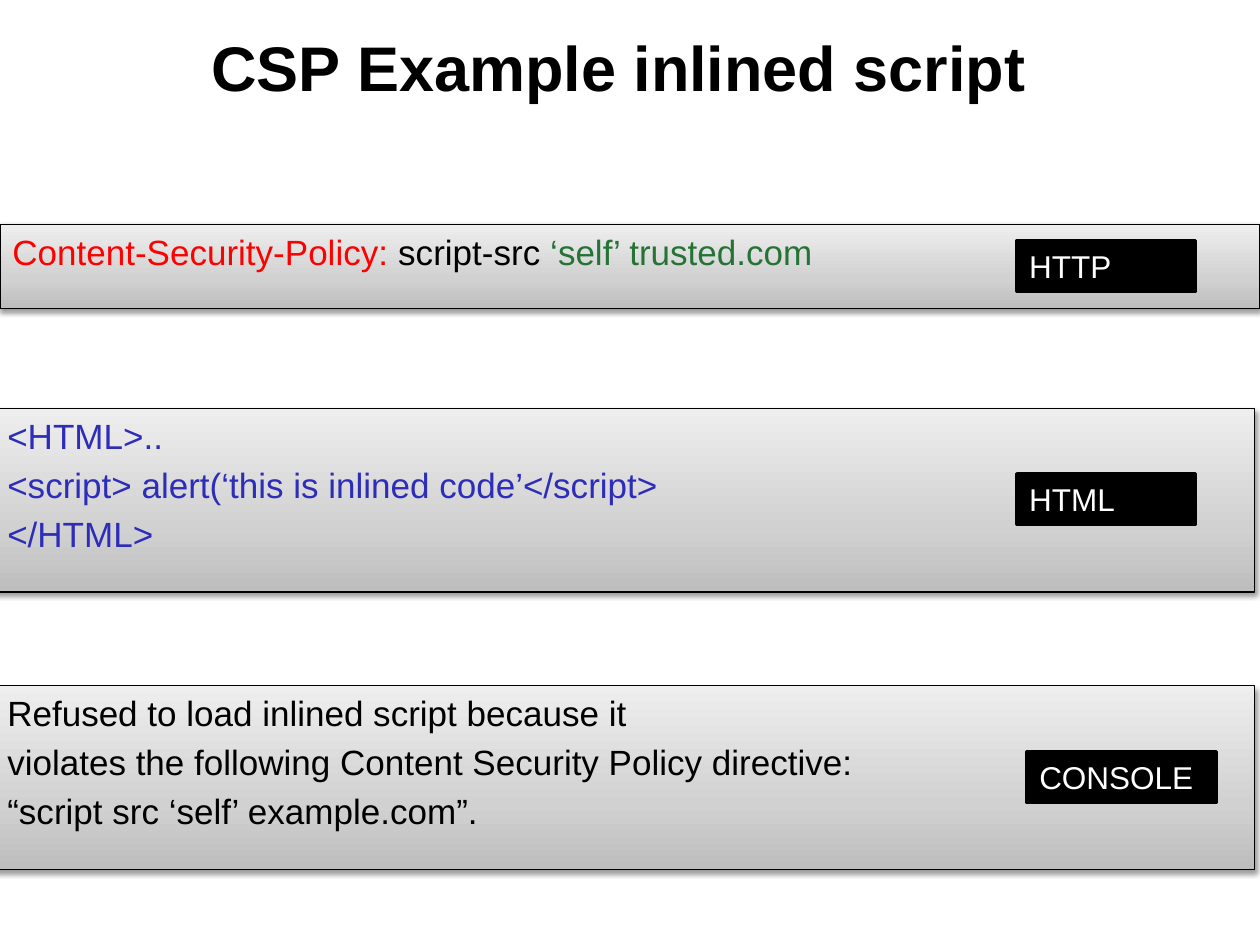
from pptx import Presentation, util as u
from pptx.dml.color import RGBColor
from pptx.enum import shapes, text
from pptx.oxml import ns, parse_xml

NS = ns.nsdecls("a")
GRADIENT = f"""<a:gradFill {NS} rotWithShape="1"><a:gsLst>
<a:gs pos="0"><a:srgbClr val="BDBDBD"/></a:gs>
<a:gs pos="35000"><a:srgbClr val="D1D1D1"/></a:gs>
<a:gs pos="100000"><a:srgbClr val="EEEEEE"/></a:gs>
</a:gsLst><a:lin ang="16200000" scaled="1"/></a:gradFill>"""
SHADOW = f"""<a:effectLst {NS}>
<a:outerShdw blurRad="{u.Pt(3.1)}" dist="{u.Pt(1.6)}" dir="5400000" rotWithShape="0">
<a:srgbClr val="000000"><a:alpha val="38000"/></a:srgbClr></a:outerShdw></a:effectLst>"""
SPACE_BEFORE = f'<a:spcBef {NS}><a:spcPct val="20000"/></a:spcBef>'


def color(value):
    return RGBColor.from_string(value)


def add_run(paragraph, words, size, ink, bold=False):
    run = paragraph.add_run()
    run.text = words
    run.font.name = "Arial"
    run.font.size = u.Pt(size)
    run.font.bold = bold
    run.font.color.rgb = color(ink)


prs = Presentation()
prs.slide_width, prs.slide_height = u.Inches(10), u.Inches(7.5)
slide = prs.slides.add_slide(prs.slide_layouts[6])

# Title
title = slide.shapes.add_textbox(u.Inches(1.58), u.Inches(0.08), u.Inches(8.26), u.Inches(0.9))
title.text_frame.word_wrap = True
title.text_frame.vertical_anchor = text.MSO_ANCHOR.MIDDLE
add_run(title.text_frame.paragraphs[0], "CSP Example inlined script", 36, "000000", True)

# Grey panels: left, top, height, lines of (words, colour) runs
panels = [
    (0, 1.78, 0.67, [[("Content-Security-Policy:", "FF0000"),
                      (" script-src ", "000000"),
                      ("‘self’ trusted.com", "267435")]]),
    (-0.04, 3.24, 1.46, [[("<HTML>..", "2D2DB9")],
                         [("<script> alert(‘this is inlined code’</script>", "2D2DB9")],
                         [("</HTML>", "2D2DB9")]]),
    (-0.04, 5.44, 1.46, [[("Refused to load inlined script because it", "000000")],
                         [("violates the following Content Security Policy directive:", "000000")],
                         [("“script src ‘self’ example.com”.", "000000")]]),
]
for left, top, height, lines in panels:
    panel = slide.shapes.add_shape(shapes.MSO_SHAPE.RECTANGLE, u.Inches(left), u.Inches(top),
                                   u.Inches(10), u.Inches(height))
    panel.line.color.rgb = color("000000")
    panel.line.width = u.Pt(0.75)
    properties = panel.element.spPr
    properties.insert(2, parse_xml(GRADIENT))
    properties.append(parse_xml(SHADOW))

    frame = panel.text_frame
    frame.word_wrap = True
    frame.vertical_anchor = text.MSO_ANCHOR.TOP
    for number, line in enumerate(lines):
        paragraph = frame.add_paragraph() if number else frame.paragraphs[0]
        paragraph.alignment = text.PP_ALIGN.LEFT
        # Hanging indent and space before in percent
        layout = paragraph._p.get_or_add_pPr()
        layout.set("marL", str(u.Inches(0.37)))
        layout.set("indent", str(u.Inches(-0.37)))
        layout.append(parse_xml(SPACE_BEFORE))
        for words, ink in line:
            add_run(paragraph, words, 20, ink)

# Black labels
for words, left, top, width in [("HTTP", 8.07, 1.91, 1.42),
                                ("HTML", 8.07, 3.76, 1.42),
                                ("CONSOLE", 8.15, 5.97, 1.5)]:
    label = slide.shapes.add_shape(shapes.MSO_SHAPE.RECTANGLE, u.Inches(left), u.Inches(top),
                                   u.Inches(width), u.Inches(0.4))
    label.shadow.inherit = False
    label.fill.solid()
    label.fill.fore_color.rgb = color("000000")
    label.line.color.rgb = color("000000")
    label.line.width = u.Pt(2)
    label.text_frame.word_wrap = True
    label.text_frame.auto_size = text.MSO_AUTO_SIZE.SHAPE_TO_FIT_TEXT
    label.text_frame.vertical_anchor = text.MSO_ANCHOR.TOP
    caption = label.text_frame.paragraphs[0]
    caption.alignment = text.PP_ALIGN.LEFT
    add_run(caption, words, 18, "FFFFFF")

prs.save("out.pptx")
